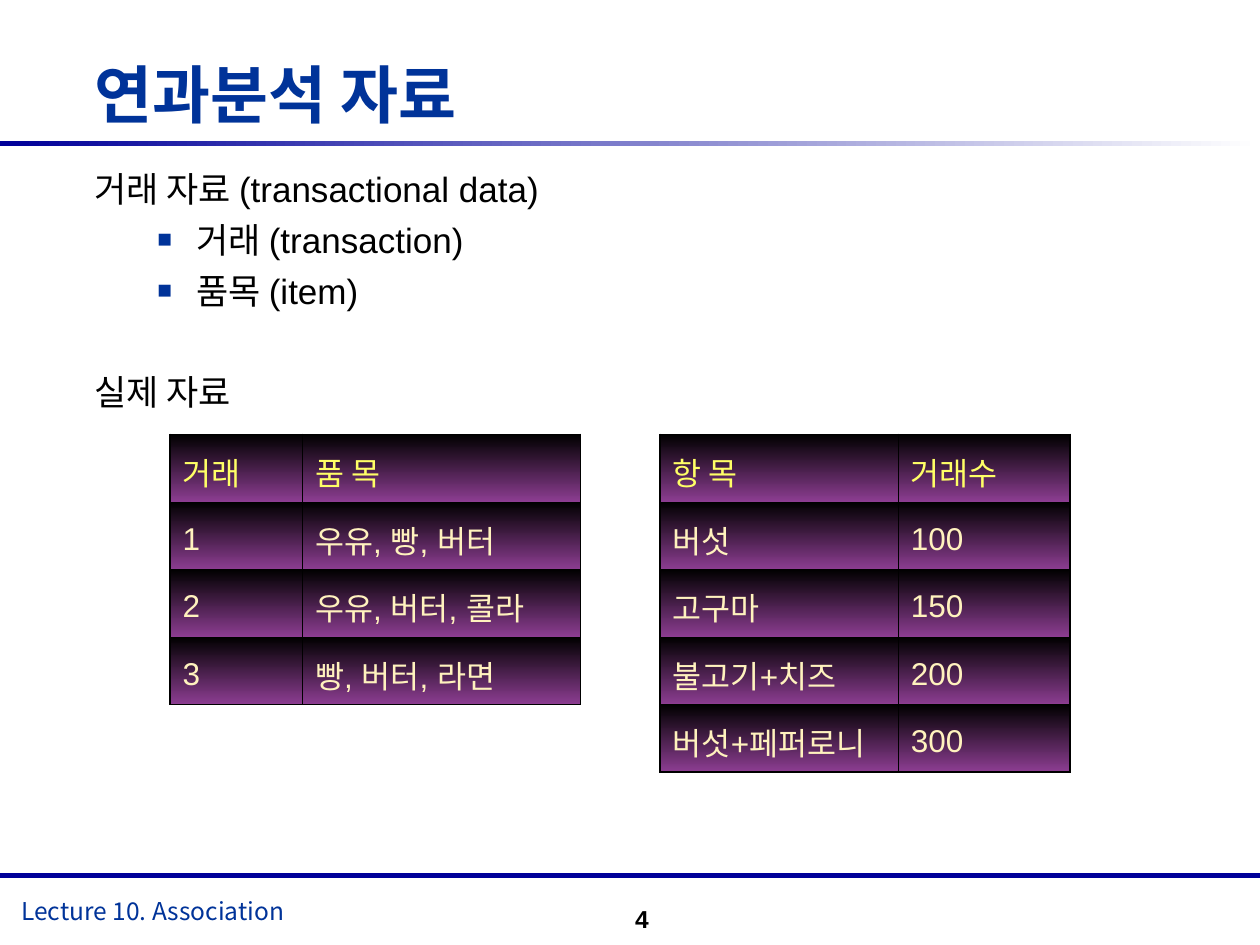
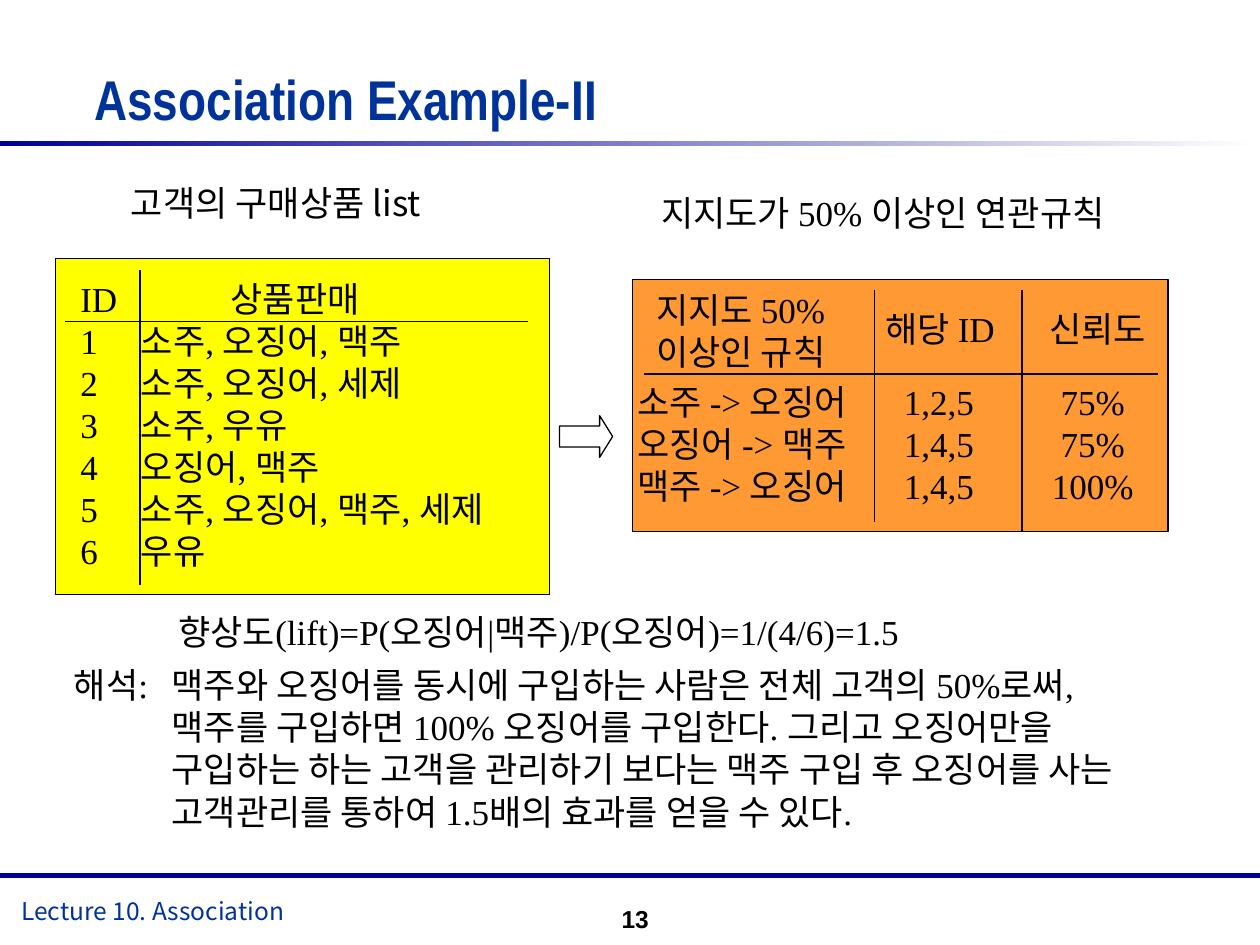
from dataclasses import dataclass
from typing import Optional

from lxml import etree
from pptx import Presentation
from pptx import util as u
from pptx.dml.color import RGBColor
from pptx.enum import shapes, text
from pptx.oxml import ns

Cm, Pt = u.Cm, u.Pt

COLORS = {
    "title": "003399",
    "band": "000099",
    "white": "FFFFFF",
    "black": "000000",
    "purple": "8C3D91",
    "table_head": "FFFF66",
    "table_text": "FFF2BE",
    "purchases": "FFFF00",
    "rules": "FF9933",
}
SANS, NARROW, SERIF, KOREAN = "Arial", "Arial Narrow", "Times New Roman", "Noto Sans CJK KR"
OUTER_BORDER, INNER_BORDER = Pt(1.08), Pt(0.45)


@dataclass
class Tab:
    position: float
    align: str = "l"


@dataclass
class Label:
    left: float
    top: float
    width: float
    height: float
    lines: list[str]
    font: str = SERIF
    size: float = 20
    color: str = "black"
    bold: bool = False
    leading: float = 24
    align: text.PP_ALIGN = text.PP_ALIGN.LEFT
    anchor: text.MSO_ANCHOR = text.MSO_ANCHOR.TOP
    tabs: tuple[Tab, ...] = ()
    head_tabs: tuple[Tab, ...] = ()


@dataclass
class DataTable:
    left: float
    columns: tuple[float, ...]
    rows: list[tuple[str, ...]]


@dataclass
class Box:
    left: float
    top: float
    width: float
    height: float
    fill: Optional[str]
    kind: shapes.MSO_SHAPE = shapes.MSO_SHAPE.RECTANGLE


@dataclass
class Rule:
    x1: float
    y1: float
    x2: float
    y2: float


def rgb(name: str) -> RGBColor:
    return RGBColor.from_string(COLORS[name])


def add_xml(parent, tag: str, **attributes: str):
    return etree.SubElement(parent, ns.qn(tag), attributes)


def set_font(target, name: str, size: float, color: str, bold: bool = False) -> None:
    target.font.name = name
    target.font.size = Pt(size)
    target.font.bold = bold
    target.font.color.rgb = rgb(color)


def fill_gradient(fill, start: str, end: str, angle: float) -> None:
    fill.gradient()
    fill.gradient_angle = angle
    for stop, color in zip(fill.gradient_stops, (start, end)):
        stop.color.rgb = rgb(color)


def place(shape, left: float, top: float, width: float, height: float) -> None:
    shape.left, shape.top, shape.width, shape.height = map(Cm, (left, top, width, height))


def clear_margins(frame) -> None:
    frame.margin_left = frame.margin_right = frame.margin_top = frame.margin_bottom = 0
    frame.vertical_anchor = text.MSO_ANCHOR.TOP
    frame.auto_size = text.MSO_AUTO_SIZE.NONE


def add_tabs(paragraph, tabs: tuple[Tab, ...]) -> None:
    if tabs:
        tab_list = add_xml(paragraph._p.get_or_add_pPr(), "a:tabLst")
        for tab in tabs:
            add_xml(tab_list, "a:tab", pos=str(Cm(tab.position)), algn=tab.align)


def add_label(slide, label: Label) -> None:
    shape = slide.shapes.add_textbox(*map(Cm, (label.left, label.top, label.width, label.height)))
    frame = shape.text_frame
    frame.word_wrap = True
    frame.vertical_anchor = label.anchor
    frame.text = "\n".join(label.lines)
    for index, paragraph in enumerate(frame.paragraphs):
        add_tabs(paragraph, label.head_tabs if index == 0 and label.head_tabs else label.tabs)
        paragraph.alignment = label.align
        paragraph.line_spacing = Pt(label.leading)
        set_font(paragraph, label.font, label.size, label.color, label.bold)


def add_box(slide, box: Box):
    shape = slide.shapes.add_shape(box.kind, *map(Cm, (box.left, box.top, box.width, box.height)))
    shape.shadow.inherit = False
    if box.fill:
        shape.fill.solid()
        shape.fill.fore_color.rgb = rgb(box.fill)
    else:
        shape.fill.background()
    shape.line.color.rgb = rgb("black")
    shape.line.width = Pt(0.75)
    return shape


def add_rule(slide, rule: Rule) -> None:
    line = slide.shapes.add_connector(
        shapes.MSO_CONNECTOR.STRAIGHT, *map(Cm, (rule.x1, rule.y1, rule.x2, rule.y2)))
    line.line.color.rgb = rgb("black")
    line.line.width = Pt(0.75)
    add_xml(line._element.spPr, "a:effectLst")


def add_slide(presentation, layout_index: int, title: str, title_size: float, number: int):
    """Add a slide with the shared bands, footer, page number and title style."""
    slide = presentation.slides.add_slide(presentation.slide_layouts[layout_index])
    for top in (2.84, 17.6):
        band = add_box(slide, Box(0, top, 25.4, 0.1, "band"))
        band.line.fill.background()
        if top == 2.84:
            fill_gradient(band.fill, "band", "white", 0)
    add_label(slide, Label(0.18, 17.93, 8.46, 0.86, ["Lecture 10. Association"],
                           font=KOREAN, size=14, color="title", leading=17))
    add_label(slide, Label(11.86, 17.98, 1.47, 1.07, [str(number)], font=SANS, size=14,
                           bold=True, leading=17, align=text.PP_ALIGN.RIGHT,
                           anchor=text.MSO_ANCHOR.MIDDLE))
    heading = slide.shapes.title
    place(heading, 1.9, 1.27, 23.5, 1.9)
    clear_margins(heading.text_frame)
    heading.text_frame.text = title
    paragraph = heading.text_frame.paragraphs[0]
    paragraph.alignment = text.PP_ALIGN.LEFT
    paragraph.line_spacing = Pt(39)
    set_font(paragraph, NARROW, title_size, "title", bold=True)
    return slide


def set_bullet(paragraph, bulleted: bool) -> None:
    properties = paragraph._p.get_or_add_pPr()
    properties.set("marL", str(Cm(2.06) if bulleted else 0))
    properties.set("indent", str(Cm(-0.79) if bulleted else 0))
    if bulleted:
        color = add_xml(properties, "a:buClr")
        add_xml(color, "a:srgbClr", val=COLORS["title"])
        add_xml(properties, "a:buSzPct", val="70000")
        add_xml(properties, "a:buFont", typeface=SANS)
        add_xml(properties, "a:buChar", char="■")
    else:
        add_xml(properties, "a:buNone")


def fill_body(slide, items: list[tuple[str, int, float]]) -> None:
    """Write (text, level, space before) items into the body placeholder."""
    body = slide.placeholders[1]
    place(body, 1.9, 3.38, 21.8, 13.54)
    frame = body.text_frame
    clear_margins(frame)
    frame.text = "\n".join(item[0] for item in items)
    for paragraph, (_, level, space_before) in zip(frame.paragraphs, items):
        paragraph.level = level
        set_bullet(paragraph, level > 0)
        paragraph.space_before = Pt(space_before)
        paragraph.line_spacing = Pt(24)
        set_font(paragraph, SANS, 20, "black")


def set_borders(cell, outer_sides: dict[str, bool]) -> None:
    properties = cell._tc.get_or_add_tcPr()
    for side, is_outer in outer_sides.items():
        line = add_xml(properties, f"a:ln{side}", w=str(OUTER_BORDER if is_outer else INNER_BORDER))
        fill = add_xml(line, "a:solidFill")
        add_xml(fill, "a:srgbClr", val=COLORS["black"])


def add_data_table(slide, data: DataTable) -> None:
    row_height = 1.36
    row_count, column_count = len(data.rows), len(data.columns)
    table = slide.shapes.add_table(
        row_count, column_count, Cm(data.left), Cm(8.76),
        Cm(sum(data.columns)), Cm(row_height * row_count)).table
    table.horz_banding = False
    for column, width in zip(table.columns, data.columns):
        column.width = Cm(width)
    for r, values in enumerate(data.rows):
        table.rows[r].height = Cm(row_height)
        for c, value in enumerate(values):
            cell = table.cell(r, c)
            set_borders(cell, {"L": c == 0, "R": c == column_count - 1,
                               "T": r == 0, "B": r == row_count - 1})
            fill_gradient(cell.fill, "black", "purple", 270)
            cell.vertical_anchor = text.MSO_ANCHOR.MIDDLE
            cell.margin_top, cell.margin_bottom = Cm(0.28), Cm(0.13)
            cell.text = value
            set_font(cell.text_frame.paragraphs[0], SANS, 18,
                     "table_text" if r else "table_head")


def build_data_slide(presentation) -> None:
    slide = add_slide(presentation, 1, "연과분석 자료", 36, 4)
    fill_body(slide, [
        ("거래 자료 (transactional data)", 0, 0),
        ("거래 (transaction)", 1, 5),
        ("품목 (item)", 1, 5),
        ("실제 자료", 0, 34),
    ])
    add_data_table(slide, DataTable(3.43, (2.67, 5.6), [
        ("거래", "품 목"),
        ("1", "우유, 빵, 버터"),
        ("2", "우유, 버터, 콜라"),
        ("3", "빵, 버터, 라면"),
    ]))
    add_data_table(slide, DataTable(13.31, (4.8, 3.46), [
        ("항 목", "거래수"),
        ("버섯", "100"),
        ("고구마", "150"),
        ("불고기+치즈", "200"),
        ("버섯+페퍼로니", "300"),
    ]))


def build_example_slide(presentation) -> None:
    slide = add_slide(presentation, 5, "Association Example-II", 32, 13)
    for box in (Box(1.12, 5.21, 9.96, 6.78, "purchases"),
                Box(12.75, 5.64, 10.8, 5.08, "rules")):
        add_box(slide, box)
    arrow = add_box(slide, Box(11.28, 8.38, 1.07, 0.84, None, shapes.MSO_SHAPE.RIGHT_ARROW))
    arrow.adjustments[0], arrow.adjustments[1] = 0.5, 0.31

    for rule in (Rule(1.32, 6.48, 10.64, 6.48), Rule(2.82, 5.44, 2.82, 11.79),
                 Rule(12.98, 7.54, 23.34, 7.54), Rule(17.63, 5.84, 17.63, 10.52),
                 Rule(20.6, 5.84, 20.6, 10.72)):
        add_rule(slide, rule)

    purchases = ["소주, 오징어, 맥주", "소주, 오징어, 세제", "소주, 우유", "오징어, 맥주",
                 "소주, 오징어, 맥주, 세제", "우유"]
    purchase_lines = [f"{number}\t{goods}" for number, goods in enumerate(purchases, 1)]
    for label in (
        Label(2.39, 3.53, 8.05, 1.12, ["고객의 구매상품 list"], font=KOREAN),
        Label(1.37, 5.46, 10.2, 6.4, ["ID\t상품판매"] + purchase_lines,
              tabs=(Tab(1.22),), head_tabs=(Tab(3.03),)),
        Label(13.08, 3.73, 10.6, 1.12, ["지지도가 50% 이상인 연관규칙"]),
        Label(12.98, 5.69, 4.5, 1.96, ["지지도 50%", "이상인 규칙"]),
        Label(17.6, 6.07, 3.2, 1.12, ["해당 ID"]),
        Label(20.9, 6.07, 2.8, 1.12, ["신뢰도"]),
        Label(12.6, 7.54, 11, 2.79,
              ["소주 -> 오징어\t1,2,5\t75%", "오징어 -> 맥주\t1,4,5\t75%",
               "맥주 -> 오징어\t1,4,5\t100%"],
              tabs=(Tab(5.37), Tab(9.18, "ctr"))),
        Label(3.35, 12.19, 17.5, 1.12, ["향상도(lift)=P(오징어|맥주)/P(오징어)=1/(4/6)=1.5"]),
        Label(1.24, 13.26, 2.3, 1.12, ["해석:"]),
        Label(3.21, 13.26, 21, 3.66,
              ["맥주와 오징어를 동시에 구입하는 사람은 전체 고객의 50%로써,",
               "맥주를 구입하면 100% 오징어를 구입한다. 그리고 오징어만을",
               "구입하는 하는 고객을 관리하기 보다는 맥주 구입 후 오징어를 사는",
               "고객관리를 통하여 1.5배의 효과를 얻을 수 있다."]),
    ):
        add_label(slide, label)


def main() -> None:
    presentation = Presentation()
    presentation.slide_width, presentation.slide_height = Cm(25.4), Cm(19.05)
    build_data_slide(presentation)
    build_example_slide(presentation)
    presentation.save("out.pptx")


if __name__ == "__main__":
    main()
